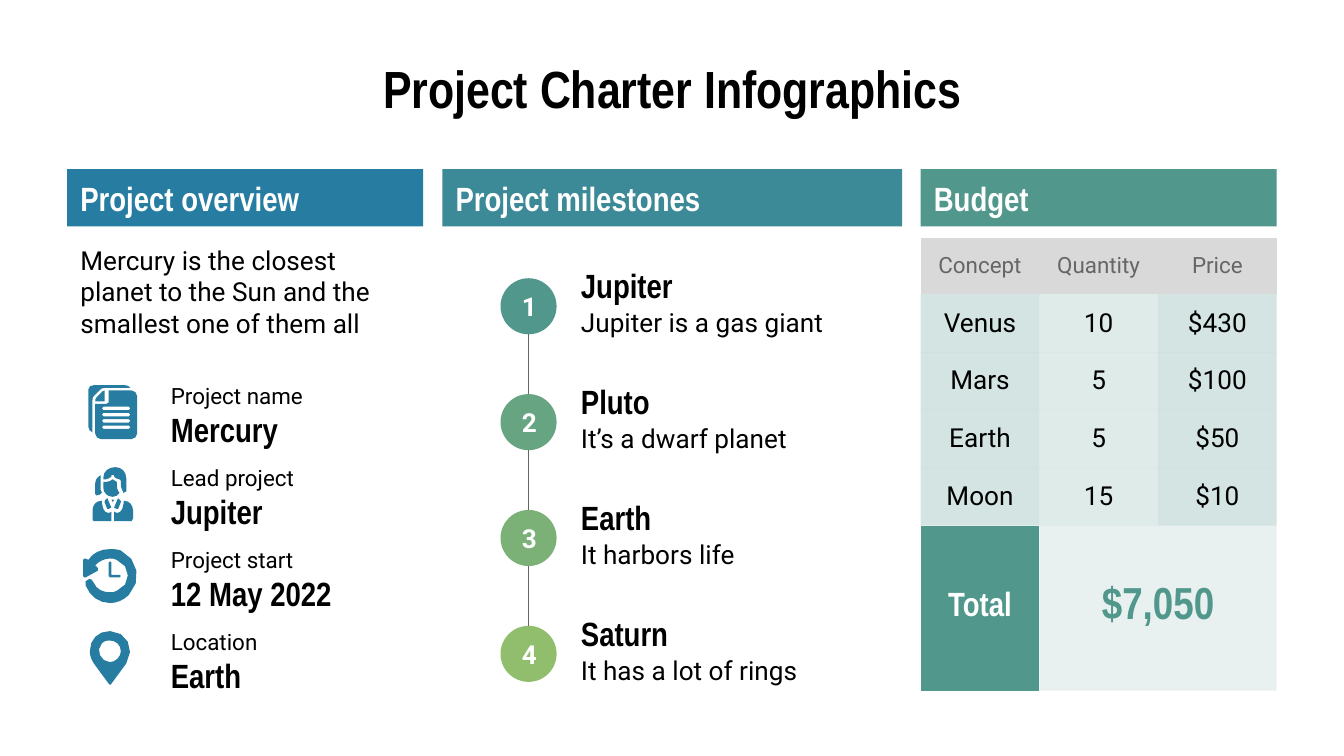
import math

import pptx
import pptx.dml.color
import pptx.enum.shapes
import pptx.enum.text
import pptx.oxml
import pptx.oxml.ns
import pptx.util

Cm, Pt = pptx.util.Cm, pptx.util.Pt
RGBColor = pptx.dml.color.RGBColor
SHAPES = pptx.enum.shapes.MSO_SHAPE
LEFT = pptx.enum.text.PP_ALIGN.LEFT
CENTER = pptx.enum.text.PP_ALIGN.CENTER
qn = pptx.oxml.ns.qn

BLACK = RGBColor(0x00, 0x00, 0x00)
WHITE = RGBColor(0xFF, 0xFF, 0xFF)
GRAY = RGBColor(0x66, 0x66, 0x66)
SILVER = RGBColor(0xD9, 0xD9, 0xD9)
BLUE = RGBColor(0x27, 0x7D, 0xA1)
TEAL = RGBColor(0x3C, 0x8A, 0x97)
GREEN = RGBColor(0x51, 0x97, 0x8C)
FERN = RGBColor(0x66, 0xA4, 0x82)
LEAF = RGBColor(0x7B, 0xB1, 0x77)
LIME = RGBColor(0x90, 0xBE, 0x6D)

TITLE = {"name": "Arial Narrow", "size": Pt(28), "bold": True}
AMOUNT = TITLE | {"size": Pt(24)}
HEADING = TITLE | {"size": Pt(18)}
BODY = {"name": "Roboto", "size": Pt(14), "bold": False}
NUMBER = BODY | {"bold": True}
LABEL = BODY | {"size": Pt(12)}

MARGINS = {f"margin_{side}": Cm(0.25) for side in ("left", "right", "top", "bottom")}
MIDDLE = pptx.enum.text.MSO_ANCHOR.MIDDLE
HEADER_HEIGHT = 1.08

# Icon outlines on a grid of 44 by 40 units, one string for each part
ICON_SIZE = 1.02
ICON_UNIT = ICON_SIZE / 40
TEXT_LINES = " ".join(f"M 34 {y} L 35 {y + 1.2} L 34 {y + 2.5} L 15 {y + 2.5} L 14 {y + 1.2} L 15 {y} Z"
                      for y in (16, 20.7, 25.3, 30))
DOCUMENTS = [
    "M 8 0 C 6 0 4 1 4 3 L 4 31 C 4 33 5 34 7 35 L 7 11 C 7 10 7 8 9 7 L 12 4 "
    "C 13 3 14 2 16 2 L 35 2 C 34 1 33 0 31 0 Z",
    TEXT_LINES + " M 19 4 L 19 13 C 19 13 18 14 17 14 L 9 14 L 9 36 C 9 38 11 40 13 40 "
    "L 36 40 C 38 40 40 38 40 36 L 40 8 C 40 6 38 4 36 4 Z",
    "M 16 4 C 15 4 14 5 13 6 L 10 9 C 9 10 9 11 9 12 L 16 12 Z",
]
LEADER = [
    "M 18 23 L 16 25 L 16 26 L 18 31 L 19 31 L 21 30 Z",
    "M 21 24 L 22 26 L 23 24 Z",
    "M 26 23 L 23 30 L 25 31 L 26 31 L 28 26 L 28 25 Z",
    "M 24 0 C 19 0 15 3 15 8 L 15 9 L 17 9 C 18 9 20 8 21 7 L 21 6 L 23 6 L 23 7 "
    "C 24 8 25 9 27 9 C 27 9 28 9 28 10 L 28 13 C 28 15 29 17 30 19 C 31 19 32 19 32 18 "
    "L 32 8 C 32 3 28 0 24 0 Z",
    "M 13 6 C 11 7 9 9 9 12 L 9 20 L 10 21 C 12 21 13 20 14 19 C 13 18 13 16 13 15 Z",
    "M 22 9 C 21 10 19 11 17 11 L 15 11 L 15 15 C 15 19 18 22 22 22 C 24 22 26 21 27 19 "
    "C 26 18 25 16 25 13 L 25 11 C 24 10 23 10 22 9 Z",
    "M 30 25 C 31 26 30 27 30 27 L 29 31 C 28 33 27 34 25 34 C 25 34 24 33 23 33 L 23 40 "
    "L 36 40 C 37 40 37 39 37 38 L 37 32 C 37 28 34 25 31 25 Z",
    "M 13 25 C 10 25 7 28 7 32 L 7 39 L 8 40 L 21 40 L 21 33 C 20 34 19 34 19 34 "
    "C 17 34 16 33 15 31 L 14 27 L 14 25 Z",
]
CLOCK = [
    "M 20 9 L 19 10 L 19 20 L 20 21 L 27 21 L 28 20 L 27 19 L 21 19 L 21 10 Z",
    "M 20 0 C 13 0 7 3 4 8 L 2 7 L 1 7 L 0 8 L 0 20 L 1 21 L 2 21 L 11 16 C 12 16 12 15 11 14 "
    "L 9 12 C 12 9 16 7 20 7 C 22 7 23 7 25 8 C 36 12 36 27 25 31 C 23 32 22 32 20 32 "
    "C 15 32 10 30 8 25 C 7 23 6 22 5 22 C 3 22 0 25 2 27 C 5 35 12 40 20 40 "
    "C 25 40 30 38 34 34 C 44 24 41 7 28 1 C 25 0 22 0 20 0 Z",
]
PIN = [
    "M 20 7 C 24 7 28 10 28 15 C 28 19 24 23 20 23 C 13 23 9 14 14 9 C 16 7 18 7 20 7 Z "
    "M 20 0 C 11 0 5 6 5 15 C 5 18 6 21 8 24 L 19 39 L 20 40 L 21 39 "
    "L 32 24 C 39 13 32 0 20 0 Z",
]

FACTS = [("Project name", "Mercury", DOCUMENTS), ("Lead project", "Jupiter", LEADER),
         ("Project start", "12 May 2022", CLOCK), ("Location", "Earth", PIN)]
MILESTONES = [("Jupiter", "Jupiter is a gas giant", GREEN), ("Pluto", "It’s a dwarf planet", FERN),
              ("Earth", "It harbors life", LEAF), ("Saturn", "It has a lot of rings", LIME)]
BUDGET = [("Concept", "Quantity", "Price"), ("Venus", "10", "$430"), ("Mars", "5", "$100"),
          ("Earth", "5", "$50"), ("Moon", "15", "$10"), ("Total", "$7,050")]


def write(frame, text, style, color, align=LEFT):
    para = frame.paragraphs[0]
    para.alignment = align
    span = para.add_run()
    span.text = text
    for name, value in style.items():
        setattr(span.font, name, value)
    span.font.color.rgb = color


def set_frame(frame):
    for name, value in (MARGINS | {"word_wrap": True, "vertical_anchor": MIDDLE}).items():
        setattr(frame, name, value)


def add_text(page, box, text, style, color=BLACK, align=LEFT):
    frame = page.shapes.add_textbox(*map(Cm, box)).text_frame
    set_frame(frame)
    write(frame, text, style, color, align)


def paint(shape, color):
    shape.shadow.inherit = False
    shape.fill.solid()
    shape.fill.fore_color.rgb = color
    shape.line.fill.background()


def add_label_shape(page, kind, box, color, text, style, align=LEFT):
    shape = page.shapes.add_shape(kind, *map(Cm, box))
    paint(shape, color)
    set_frame(shape.text_frame)
    write(shape.text_frame, text, style, WHITE, align)


def trace(outline):
    """Turn an outline into lists of points; longer curves get more of them, up to four."""
    contours = []
    for command in outline.replace("Z", "").replace("M", "|M").replace("L", "|L").replace(
            "C", "|C").split("|")[1:]:
        numbers = [float(number) for number in command[1:].split()]
        points = list(zip(numbers[::2], numbers[1::2]))
        if command[0] == "M":
            contours.append(points)
        elif command[0] == "L":
            contours[-1] += points
        else:
            corners = [contours[-1][-1], *points]
            steps = min(4, math.ceil(math.dist(corners[0], corners[-1]) / 3))
            for step in range(1, steps + 1):
                t = step / steps
                weights = ((1 - t) ** 3, 3 * t * (1 - t) ** 2, 3 * t * t * (1 - t), t ** 3)
                contours[-1].append(tuple(
                    sum(w * corner[axis] for w, corner in zip(weights, corners))
                    for axis in (0, 1)))
    return contours


def add_icon(page, left, top, outlines):
    for outline in outlines:
        contours = [[(Cm(left + x * ICON_UNIT), Cm(top + y * ICON_UNIT)) for x, y in contour]
                    for contour in trace(outline)]
        builder = page.shapes.build_freeform(*contours[0][0])
        for index, contour in enumerate(contours):
            if index:
                builder.move_to(*contour[0])
            builder.add_line_segments(contour[1:], close=True)
        paint(builder.convert_to_shape(), BLUE)


def add_header(page, box, text, color):
    left, top, width, _ = box
    add_label_shape(page, SHAPES.RECTANGLE, (left, top, width, HEADER_HEIGHT), color, text, HEADING)


def add_overview(page, box):
    left, top, width, _ = box
    add_header(page, box, "Project overview", BLUE)
    add_text(page, (left, top + 1.1, width, 2.41),
             "Mercury is the closest planet to the Sun and the smallest one of them all", BODY)
    for index, (label, value, icon) in enumerate(FACTS):
        y = top + 3.95 + 1.55 * index
        add_icon(page, left + 0.3, y + 0.13, icon)
        add_text(page, (left + 1.71, y, 3.18, 0.64), label, LABEL)
        add_text(page, (left + 1.71, y + 0.65, 4.17, 0.64), value, HEADING)


def add_milestones(page, box):
    left, top, _, _ = box
    add_header(page, box, "Project milestones", TEAL)
    pitch, size = 2.19, 1.06
    for index, (name, detail, color) in enumerate(MILESTONES):
        y = top + 1.91 + pitch * index
        circle_top = y + 0.15
        add_text(page, (left + 2.37, y, 5.21, 0.56), name, HEADING)
        add_text(page, (left + 2.37, y + 0.58, 5.21, 0.81), detail, BODY)
        add_label_shape(page, SHAPES.OVAL, (left + 1.1, circle_top, size, size), color,
                        str(index + 1), NUMBER, CENTER)
        if index:
            x = left + 1.1 + size / 2
            line = page.shapes.add_connector(
                pptx.enum.shapes.MSO_CONNECTOR.STRAIGHT,
                Cm(x), Cm(circle_top - pitch + size), Cm(x), Cm(circle_top))
            line.line.color.rgb = GRAY
            line.line.width = Pt(0.75)
            line._element.spPr.append(pptx.oxml.parse_xml(
                f"<a:effectLst {pptx.oxml.ns.nsdecls('a')}/>"))


def fill_cell(cell, text, style, color, fill, opacity=100):
    for name, value in (MARGINS | {"vertical_anchor": MIDDLE}).items():
        setattr(cell, name, value)
    cell.fill.solid()
    cell.fill.fore_color.rgb = fill
    if opacity < 100:
        cell._tc.tcPr.find(".//" + qn("a:srgbClr")).append(pptx.oxml.parse_xml(
            f'<a:alpha {pptx.oxml.ns.nsdecls("a")} val="{opacity * 1000}"/>'))
    write(cell.text_frame, text, style, color, CENTER)


def add_budget(page, box):
    left, top, width, height = box
    add_header(page, box, "Budget", GREEN)
    heights = [1.06] * 5 + [3.12]
    table = page.shapes.add_table(len(BUDGET), 3, Cm(left), Cm(top + 1.3),
                                  Cm(width), Cm(height - 1.3)).table
    table.first_row = table.horz_banding = False
    style_id = table._tbl.tblPr.find(qn("a:tableStyleId"))
    style_id.text = "{2D5ABB26-0587-4C30-8999-92F81FD0307C}"
    for row, row_height in zip(table.rows, heights):
        row.height = Cm(row_height)
    last = len(BUDGET) - 1
    table.cell(last, 1).merge(table.cell(last, 2))
    for row, texts in enumerate(BUDGET):
        for column, text in enumerate(texts):
            if row == 0:
                look = (LABEL, GRAY, SILVER)
            elif row < last:
                look = (BODY, BLACK, GREEN, 19 if column == 1 else 25)
            else:
                look = (AMOUNT, GREEN, GREEN, 13) if column else (HEADING, WHITE, GREEN)
            fill_cell(table.cell(row, column), text, *look)


def main():
    deck = pptx.Presentation()
    deck.slide_width, deck.slide_height = Cm(25.4), Cm(14.29)
    page = deck.slides.add_slide(deck.slide_layouts[6])
    add_text(page, (1.27, 1.13, 22.86, 1.05), "Project Charter Infographics", TITLE, BLACK, CENTER)
    add_overview(page, (1.27, 3.2, 6.73, 9.84))
    add_milestones(page, (8.36, 3.2, 8.69, 9.84))
    add_budget(page, (17.4, 3.2, 6.73, 9.84))
    deck.save("out.pptx")


if __name__ == "__main__":
    main()
